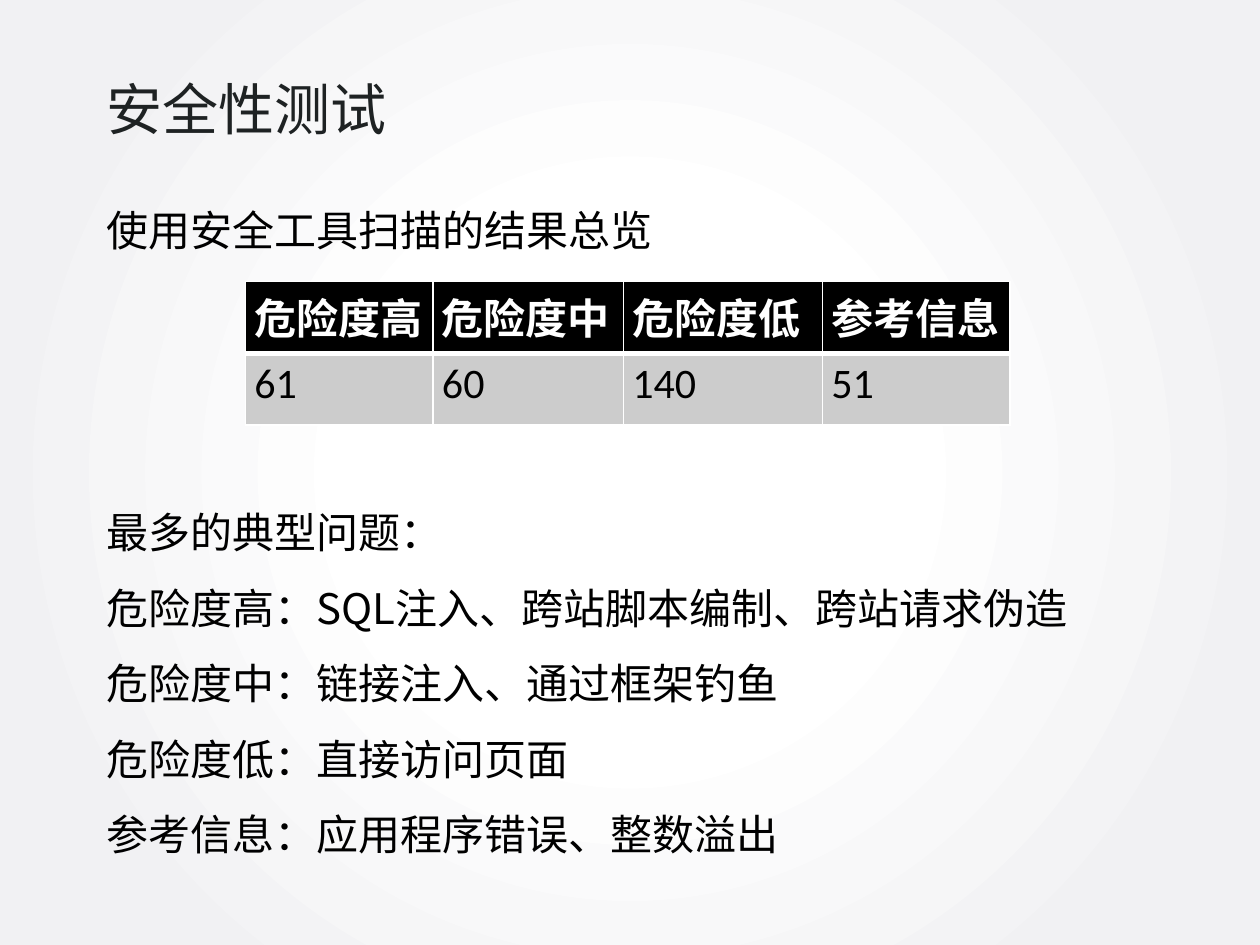
from dataclasses import dataclass
from lxml.etree import SubElement as Sub
from pptx import Presentation
from pptx.dml.color import RGBColor as Rgb
from pptx.enum.text import MSO_AUTO_SIZE as Fit
from pptx.oxml.ns import qn
from pptx.util import Cm, Pt


@dataclass(frozen=True)
class Theme:
    ink: str = "000000"
    title: str = "1E2223"
    white: str = "FFFFFF"
    edge: str = "F1F1F3"
    band: str = "CCCCCC"
    head: int = 32
    body: int = 24
    cjk: str = "Noto Sans CJK SC"
    latin: str = "Lato"
    digit: str = "Calibri"


T = Theme()


def write(frame, text, size=T.body, font=T.cjk, color=T.ink, bold=False, space=1.0):
    """Fill a text frame, one paragraph for each line of text."""
    for i, line in enumerate(text.split("\n")):
        para = frame.add_paragraph() if i else frame.paragraphs[0]
        para.line_spacing = space
        run = para.add_run()
        run.text = line
        run.font.size, run.font.name, run.font.bold = Pt(size), font, bold
        run.font.color.rgb = Rgb.from_string(color)
        Sub(run.font._element, qn("a:ea"), typeface=T.cjk)


def add_text(slide, box, text, wrap=True, **style):
    frame = slide.shapes.add_textbox(*map(Cm, box)).text_frame
    frame.word_wrap = wrap
    frame.auto_size = Fit.SHAPE_TO_FIT_TEXT
    write(frame, text, **style)


def add_back(slide):
    """Radial glow from the centre of the slide."""
    fill = slide.background.fill
    fill.gradient()
    stops = ((0.33, T.white), (0.83, T.edge))
    for stop, (pos, color) in zip(fill.gradient_stops, stops):
        stop.position = pos
        stop.color.rgb = Rgb.from_string(color)
    grad = slide.element.find(".//" + qn("a:gradFill"))
    grad.remove(grad.find(qn("a:lin")))
    glow = Sub(grad, qn("a:path"), path="circle")
    Sub(glow, qn("a:fillToRect"), l="50000", t="50000", r="50000", b="50000")


def add_lines(cell, top, low):
    """White cell borders, which must come before the cell fill."""
    props = cell._tc.get_or_add_tcPr()
    for side, width in (("L", 1), ("R", 1), ("T", top), ("B", low)):
        line = Sub(props, qn("a:ln" + side), w=str(Pt(width)))
        Sub(Sub(line, qn("a:solidFill")), qn("a:srgbClr"), val=T.white)


def add_grid(slide, box, cols, rows):
    shape = slide.shapes.add_table(len(rows), len(cols), *map(Cm, box))
    table = shape.table
    for col, width in zip(table.columns, cols):
        col.width = Cm(width)
    looks = (
        (T.ink, (1, 3), dict(color=T.white, bold=True)),
        (T.band, (3, 1), dict(font=T.digit)),
    )
    for r, (row, (fill, lines, style)) in enumerate(zip(rows, looks)):
        table.rows[r].height = Cm(box[3] / len(rows))
        for c, text in enumerate(row):
            cell = table.cell(r, c)
            cell.margin_left = cell.margin_right = Cm(0.18)
            cell.margin_top = cell.margin_bottom = Cm(0.1)
            add_lines(cell, *lines)
            cell.fill.solid()
            cell.fill.fore_color.rgb = Rgb.from_string(fill)
            write(cell.text_frame, text, **style)


def add_scan(slide, box):
    """Scan overview: caption with the count table below it."""
    x, y, w, h = box
    add_text(slide, (x, y, 13.79, 1.27), "使用安全工具扫描的结果总览")
    cols = (3.78, 3.84, 4.01, 3.78)
    rows = (
        ("危险度高", "危险度中", "危险度低", "参考信息"),
        ("61", "60", "140", "51"),
    )
    add_grid(slide, (x + 3.05, y + 1.68, sum(cols), h - 1.68), cols, rows)


def add_issues(slide, box):
    """Typical problems for each risk level."""
    text = "\n".join((
        "最多的典型问题：",
        "危险度高：SQL注入、跨站脚本编制、跨站请求伪造",
        "危险度中：链接注入、通过框架钓鱼",
        "危险度低：直接访问页面",
        "参考信息：应用程序错误、整数溢出",
    ))
    add_text(slide, box, text, space=1.5)


def main():
    deck = Presentation()
    deck.slide_width, deck.slide_height = Cm(25.4), Cm(19.05)
    slide = deck.slides.add_slide(deck.slide_layouts[6])
    left = 1.9
    add_back(slide)
    add_text(slide, (left, 1.37, 6.22, 1.63), "安全性测试", wrap=False,
             size=T.head, font=T.latin, color=T.title)
    add_scan(slide, (left, 3.99, 18.46, 4.58))
    add_issues(slide, (left, 9.58, 20.52, 7.77))
    deck.save("out.pptx")


if __name__ == "__main__":
    main()
